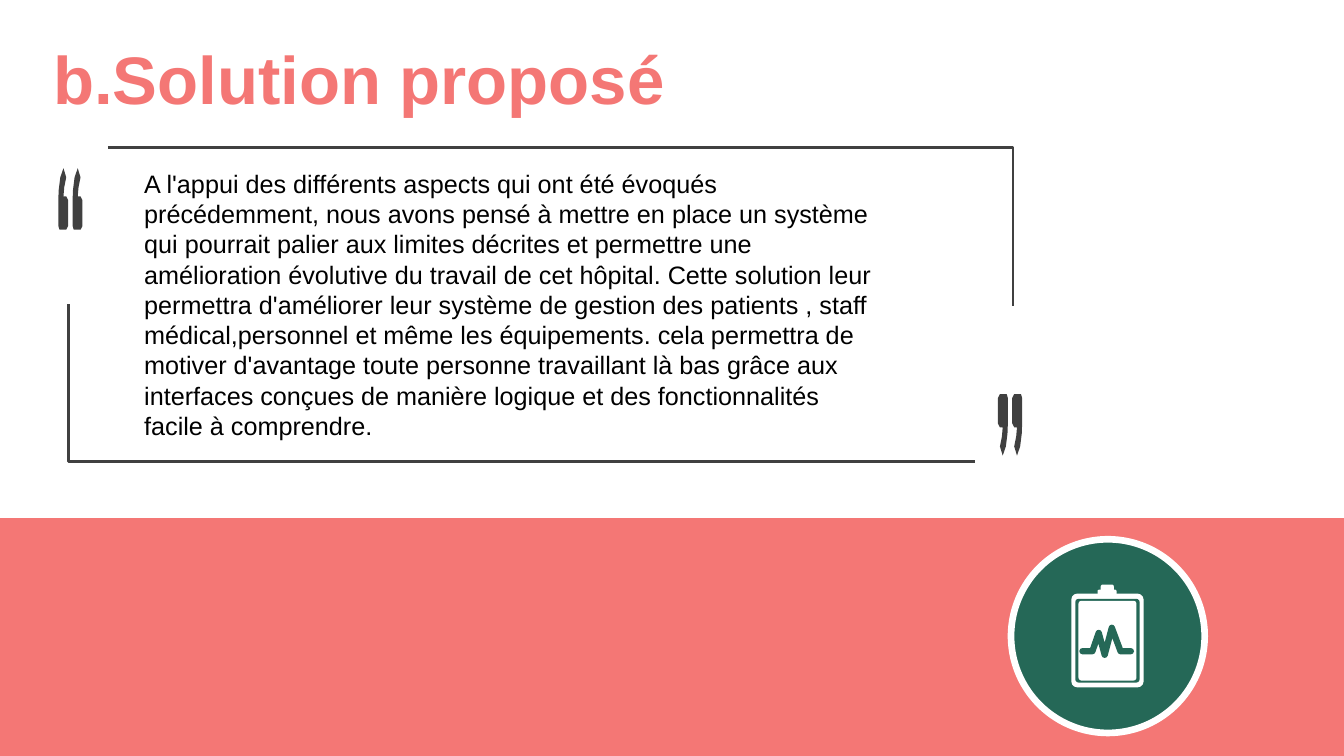
from lxml.etree import SubElement
from pptx import Presentation
from pptx.dml.color import RGBColor
from pptx.enum.shapes import MSO_SHAPE as Preset
from pptx.enum.text import MSO_ANCHOR as Anchor, MSO_AUTO_SIZE as AutoSize, PP_ALIGN as Align
from pptx.oxml.ns import qn
from pptx.util import Cm, Pt

CORAL = RGBColor(0xF4, 0x77, 0x75)
GREEN = RGBColor(0x25, 0x68, 0x57)
CHARCOAL = RGBColor(0x40, 0x40, 0x40)
WHITE = RGBColor(0xFF, 0xFF, 0xFF)
BLACK = RGBColor(0, 0, 0)

TITLE = "b.Solution proposé"
SOLUTION = (
    "A l'appui des différents aspects qui ont été évoqués précédemment, nous avons "
    "pensé à mettre en place un système qui pourrait palier aux limites décrites et "
    "permettre une amélioration évolutive du travail de cet hôpital. Cette solution "
    "leur permettra d'améliorer leur système de gestion des patients , staff "
    "médical,personnel et même les équipements. cela permettra de motiver d'avantage "
    "toute personne travaillant là bas grâce aux interfaces conçues de manière logique "
    "et des fonctionnalités facile à comprendre."
)

QUOTE_MARK = [
    (0.03, 1.55), (0.2, 1.55), (0.25, 1.45), (0.25, 0.81), (0.2, 0.71), (0.13, 0.71),
    (0.15, 0.48), (0.2, 0.23), (0.13, 0), (0.05, 0.23), (0.01, 0.55), (0, 0.81), (0, 1.45),
]
QUOTE_GAP = 0.36
FRAME_CORNERS = [
    [(2.72, 3.71), (25.53, 3.71), (25.53, 7.7)],
    [(24.56, 11.63), (1.73, 11.63), (1.73, 7.65)],
]
CLIPBOARD = [
    ((27.74, 14.73, 0.33, 0.25), WHITE, 0.2),
    ((27.66, 14.86, 0.48, 0.2), WHITE, 0.2),
    ((27, 14.96, 1.82, 2.36), WHITE, 0.08),
    ((27.1, 15.09, 1.62, 2.11), GREEN, 0.05),
    ((27.18, 15.14, 1.46, 2.01), WHITE, 0.05),
]
PULSE = [
    (27.28, 16.41), (27.53, 16.41), (27.69, 15.95), (27.84, 16.5),
    (28.02, 15.82), (28.24, 16.41), (28.5, 16.41),
]


def set_format(target, values):
    """Set each attribute of the target from a dict."""
    for name, value in values.items():
        setattr(target, name, value)


def paint(shape, fill=None, line=None, width=1):
    """Give a shape its fill and line, without shadow."""
    shape.shadow.inherit = False
    for part, color in ((shape.fill, fill), (shape.line.fill, line)):
        if color is None:
            part.background()
        else:
            part.solid()
            part.fore_color.rgb = color
    if line is not None:
        shape.line.width = Pt(width)


def add_preset(page, preset, bounds, **colors):
    """Add a painted preset shape with bounds in centimetres."""
    shape = page.shapes.add_shape(preset, *map(Cm, bounds))
    paint(shape, **colors)
    return shape


def add_outline(page, points, close=False, **colors):
    """Add a painted freeform through points in centimetres."""
    start, *others = [(Cm(x), Cm(y)) for x, y in points]
    builder = page.shapes.build_freeform(*start)
    builder.add_line_segments(others, close=close)
    shape = builder.convert_to_shape()
    paint(shape, **colors)
    return shape


def add_quotes(page, left, top, direction):
    """Add a pair of quote marks, turned half round if direction is -1."""
    for index in range(2):
        origin = left + direction * index * QUOTE_GAP
        points = [(origin + direction * x, top + direction * y) for x, y in QUOTE_MARK]
        add_outline(page, points, close=True, fill=CHARCOAL)


def add_clipboard(page):
    """Draw the clipboard with its pulse line."""
    for bounds, color, radius in CLIPBOARD:
        board = add_preset(page, Preset.ROUNDED_RECTANGLE, bounds, fill=color)
        board.adjustments[0] = radius
    pulse = add_outline(page, PULSE, line=GREEN, width=4.5)
    stroke = pulse._element.spPr.find(qn("a:ln"))
    stroke.set("cap", "rnd")
    SubElement(stroke, qn("a:round"))


def fill_placeholder(box, text, bounds, anchor, para_format, font_format, color):
    """Move a placeholder and write one formatted paragraph in it."""
    set_format(box, dict(zip(("left", "top", "width", "height"), map(Cm, bounds))))
    frame = box.text_frame
    set_format(frame, {"word_wrap": True, "auto_size": AutoSize.NONE, "vertical_anchor": anchor})
    para = frame.paragraphs[0]
    set_format(para, {"alignment": Align.LEFT, **para_format})
    properties = para._p.get_or_add_pPr()
    set_format(properties, {})
    for name in ("marL", "indent"):
        properties.set(name, "0")
    SubElement(properties, qn("a:buNone"))
    span = para.add_run()
    span.text = text
    set_format(span.font, {"name": "Arial", **font_format})
    span.font.color.rgb = color


def main():
    """Build the slide and save it."""
    deck = Presentation()
    set_format(deck, {"slide_width": Cm(33.87), "slide_height": Cm(19.05)})
    page = deck.slides.add_slide(deck.slide_layouts[1])
    title, body = page.placeholders
    add_preset(page, Preset.RECTANGLE, (0, 13.06, 33.87, 5.99), fill=CORAL)
    add_quotes(page, 1.47, 4.24, 1)
    add_quotes(page, 25.76, 11.48, -1)
    for corner in FRAME_CORNERS:
        add_outline(page, corner, line=CHARCOAL, width=2)
    add_preset(page, Preset.OVAL, (25.48, 13.59, 4.88, 4.88), fill=GREEN, line=WHITE, width=4.75)
    add_clipboard(page)
    fill_placeholder(body, SOLUTION, (3.38, 4.11, 19.1, 7.19), Anchor.TOP,
                     {"space_before": Pt(0)}, {"size": Pt(18)}, BLACK)
    fill_placeholder(title, TITLE, (1.09, 0.79, 23.83, 2.11), Anchor.MIDDLE,
                     {"line_spacing": 1.1}, {"size": Pt(48), "bold": True}, CORAL)
    deck.save("out.pptx")


if __name__ == "__main__":
    main()
